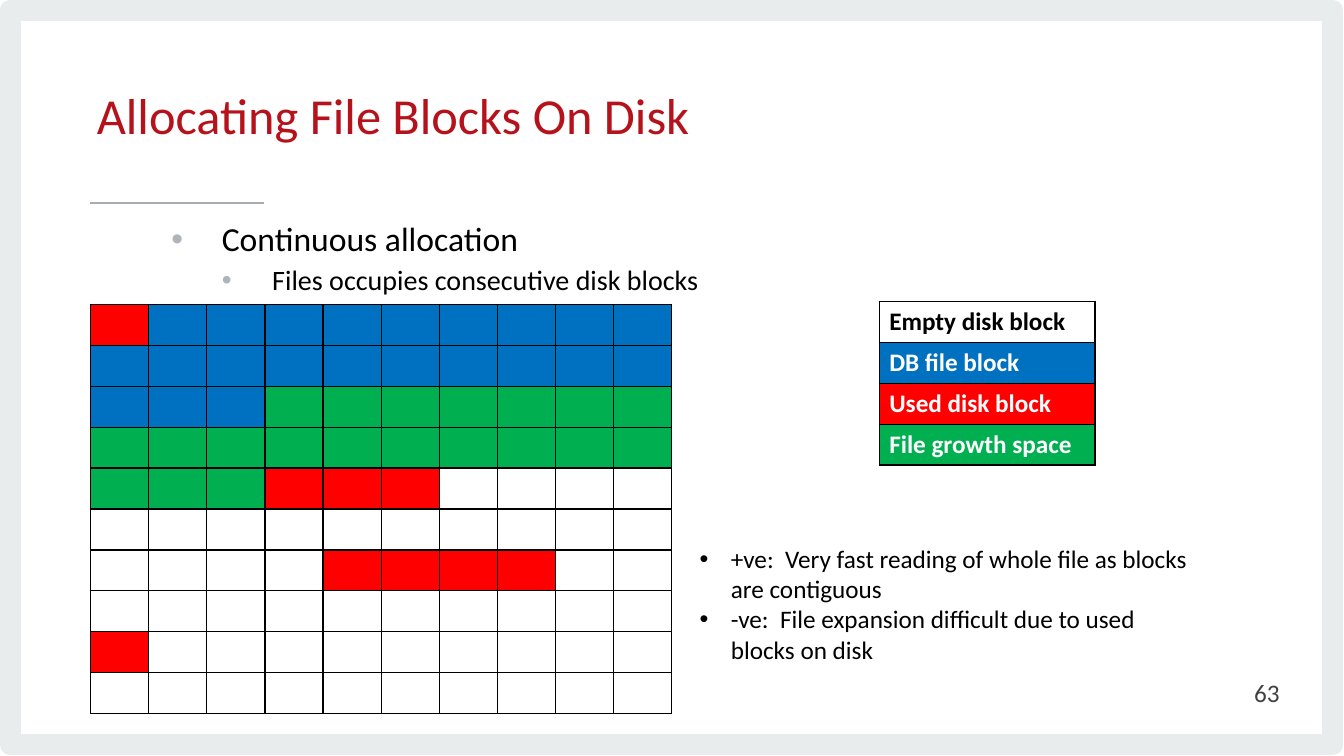
import pptx
import pptx.dml.color
import pptx.enum.shapes
import pptx.enum.text
import pptx.oxml
import pptx.oxml.ns
import pptx.util
from pptx.dml.color import RGBColor

Inches = pptx.util.Inches
Pt = pptx.util.Pt
Anchor = pptx.enum.text.MSO_ANCHOR
Align = pptx.enum.text.PP_ALIGN

WHITE = RGBColor(0xFF, 0xFF, 0xFF)
BLACK = RGBColor(0x00, 0x00, 0x00)
FRAME_GREY = RGBColor(0xE9, 0xEC, 0xED)
RULE_GREY = RGBColor(0xA6, 0xAD, 0xB1)
BULLET_GREY = RGBColor(0xAE, 0xB4, 0xB9)
NUMBER_GREY = RGBColor(0x41, 0x40, 0x42)
TITLE_RED = RGBColor(0xB5, 0x12, 0x1B)
FILE_BLUE = RGBColor(0x00, 0x70, 0xC0)
USED_RED = RGBColor(0xFF, 0x00, 0x00)
GROWTH_GREEN = RGBColor(0x00, 0xB0, 0x50)

FONT = "Calibri"
TITLE = "Allocating File Blocks On Disk"
PAGE_NUMBER = "63"
OUTLINE = [
    (1, "Continuous allocation", 24),
    (2, "Files occupies consecutive disk blocks", 20),
]
REMARKS = [
    "+ve:  Very fast reading of whole file as blocks are contiguous",
    "-ve:  File expansion difficult due to used blocks on disk",
]
BLOCK_FILLS = {".": None, "D": FILE_BLUE, "U": USED_RED, "G": GROWTH_GREEN}
DISK_BLOCKS = [
    "UDDDDDDDDD",
    "DDDDDDDDDD",
    "DDDGGGGGGG",
    "GGGGGGGGGG",
    "GGGUUU....",
    "..........",
    "....UUUU..",
    "..........",
    "U.........",
    "..........",
]
LEGEND = [
    (".", "Empty disk block"),
    ("D", "DB file block"),
    ("U", "Used disk block"),
    ("G", "File growth space"),
]
ROW_HEIGHT = Inches(4.06) // len(DISK_BLOCKS)


def place(shape, left, top, width, height):
    shape.left, shape.top = Inches(left), Inches(top)
    shape.width, shape.height = Inches(width), Inches(height)


def format_runs(paragraph, size, color, bold=False):
    for run in paragraph.runs:
        run.font.name = FONT
        run.font.size = Pt(size)
        run.font.bold = bold
        run.font.color.rgb = color


def add_bullet(paragraph, margin, hanging, color):
    properties = paragraph._p.get_or_add_pPr()
    properties.set("marL", str(Inches(margin)))
    properties.set("indent", str(-Inches(hanging)))
    namespace = pptx.oxml.ns.nsdecls("a")
    for xml in (
        f'<a:buClr {namespace}><a:srgbClr val="{color}"/></a:buClr>',
        f'<a:buFont {namespace} typeface="Arial"/>',
        f'<a:buChar {namespace} char="•"/>',
    ):
        properties.append(pptx.oxml.parse_xml(xml))


def style_cell(cell, fill):
    properties = cell._tc.get_or_add_tcPr()
    for side in ("lnL", "lnR", "lnT", "lnB"):
        properties.append(pptx.oxml.parse_xml(
            f'<a:{side} {pptx.oxml.ns.nsdecls("a")} w="{Pt(1)}">'
            f'<a:solidFill><a:srgbClr val="{BLACK}"/></a:solidFill></a:{side}>'))
    if fill is None:
        cell.fill.background()
    else:
        cell.fill.solid()
        cell.fill.fore_color.rgb = fill


def add_grid(slide, left, top, width, rows):
    columns = len(rows[0])
    frame = slide.shapes.add_table(
        len(rows), columns, Inches(left), Inches(top),
        Inches(width), ROW_HEIGHT * len(rows))
    table = frame.table
    table.first_row = False
    table.horz_banding = False
    for row_index, row in enumerate(rows):
        for column_index, kind in enumerate(row):
            style_cell(table.cell(row_index, column_index), BLOCK_FILLS[kind])
    return table


def add_frame_and_rule(slide):
    frame = slide.shapes.add_shape(
        pptx.enum.shapes.MSO_SHAPE.RECTANGLE,
        Inches(0.1), Inches(0.1), Inches(13.12), Inches(7.29))
    frame.shadow.inherit = False
    frame.fill.background()
    frame.line.color.rgb = FRAME_GREY
    frame.line.width = Pt(15.11)
    rule = slide.shapes.add_connector(
        pptx.enum.shapes.MSO_CONNECTOR.STRAIGHT,
        Inches(0.89), Inches(2.01), Inches(2.62), Inches(2.01))
    rule.line.color.rgb = RULE_GREY
    rule.line.width = Pt(1.33)
    rule._element.spPr.append(
        pptx.oxml.parse_xml(f'<a:effectLst {pptx.oxml.ns.nsdecls("a")}/>'))


def fill_title(title):
    place(title, 0.86, 0.52, 8.79, 1.34)
    title.text_frame.text = TITLE
    title.text_frame.vertical_anchor = Anchor.MIDDLE
    title.text_frame.auto_size = pptx.enum.text.MSO_AUTO_SIZE.NONE
    paragraph = title.text_frame.paragraphs[0]
    paragraph.alignment = Align.LEFT
    paragraph.line_spacing = Pt(34.7)
    format_runs(paragraph, 36, TITLE_RED)


def fill_body(body):
    place(body, 0.85, 2.16, 10.65, 4.6)
    frame = body.text_frame
    frame.text = "\n".join(text for _, text, _ in OUTLINE)
    frame.auto_size = pptx.enum.text.MSO_AUTO_SIZE.NONE
    for index, (level, _, size) in enumerate(OUTLINE):
        paragraph = frame.paragraphs[index]
        paragraph.level = level
        add_bullet(paragraph, 0.75 + 0.5 * level, 0.5, BULLET_GREY)
        paragraph.line_spacing = 0.9
        paragraph.space_before = Pt(5 if index else 0)
        format_runs(paragraph, size, BLACK)


def add_text(slide, text, left, top, width, height):
    box = slide.shapes.add_textbox(0, 0, 0, 0)
    place(box, left, top, width, height)
    box.text_frame.word_wrap = True
    box.text_frame.text = text
    return box.text_frame


def main():
    presentation = pptx.Presentation()
    presentation.slide_width = Inches(13.33)
    presentation.slide_height = Inches(7.5)
    slide = presentation.slides.add_slide(presentation.slide_layouts[1])
    slide.background.fill.solid()
    slide.background.fill.fore_color.rgb = WHITE

    add_frame_and_rule(slide)
    fill_title(slide.shapes.title)
    fill_body(slide.placeholders[1])

    number = add_text(slide, PAGE_NUMBER, 9.79, 6.67, 3, 0.4)
    number.vertical_anchor = Anchor.MIDDLE
    number.paragraphs[0].alignment = Align.RIGHT
    format_runs(number.paragraphs[0], 18, NUMBER_GREY)

    add_grid(slide, 0.9, 3.02, 5.76, DISK_BLOCKS)
    legend = add_grid(slide, 8.72, 2.99, 2.14, [kind for kind, _ in LEGEND])
    for index, (kind, label) in enumerate(LEGEND):
        cell = legend.cell(index, 0)
        cell.text_frame.text = label
        color = WHITE if BLOCK_FILLS[kind] else BLACK
        format_runs(cell.text_frame.paragraphs[0], 18, color, bold=True)

    remarks = add_text(slide, "\n".join(REMARKS), 6.84, 5.34, 5.09, 1.31)
    for paragraph in remarks.paragraphs:
        add_bullet(paragraph, 0.31, 0.31, BLACK)
        format_runs(paragraph, 18, BLACK)

    presentation.save("out.pptx")


if __name__ == "__main__":
    main()
